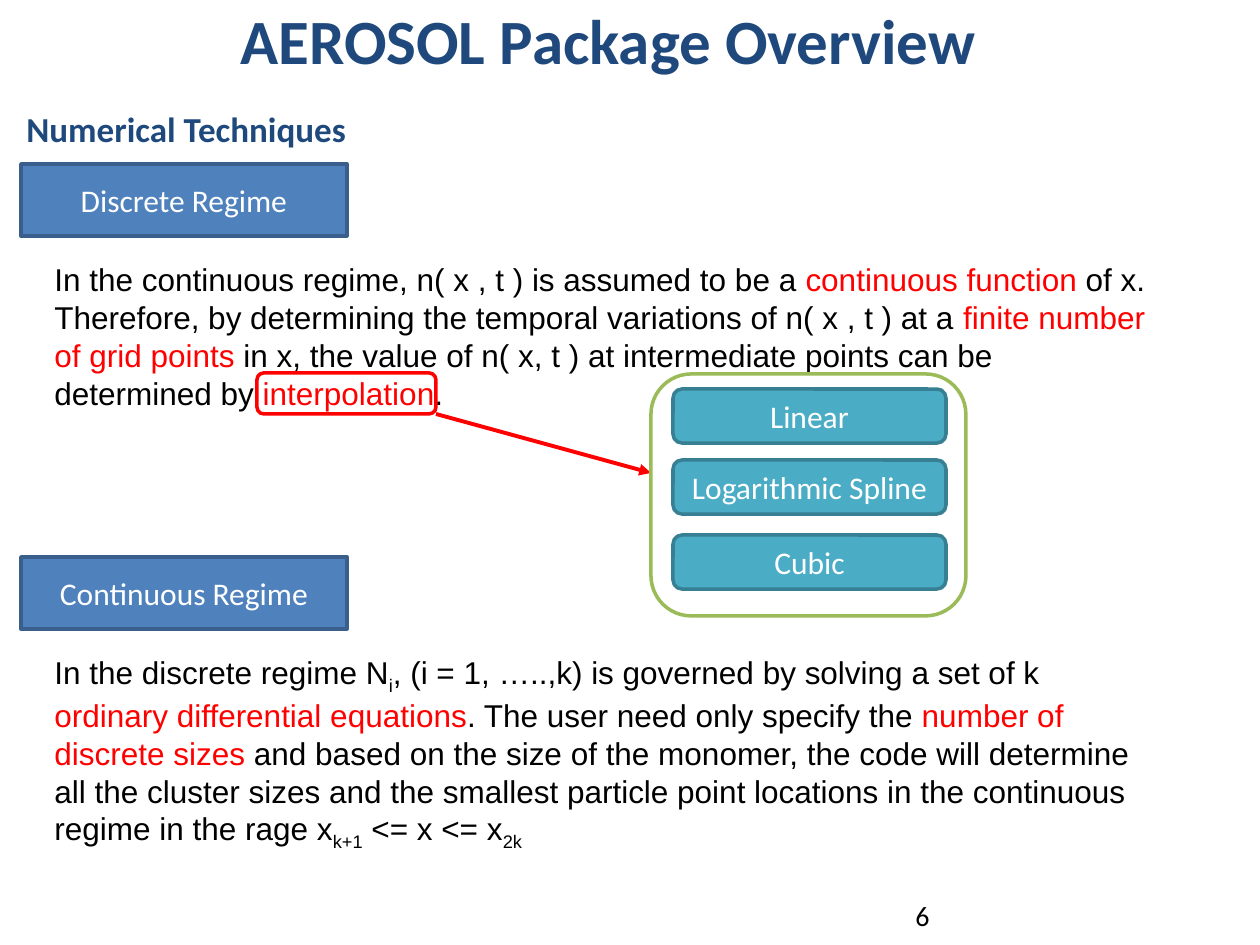
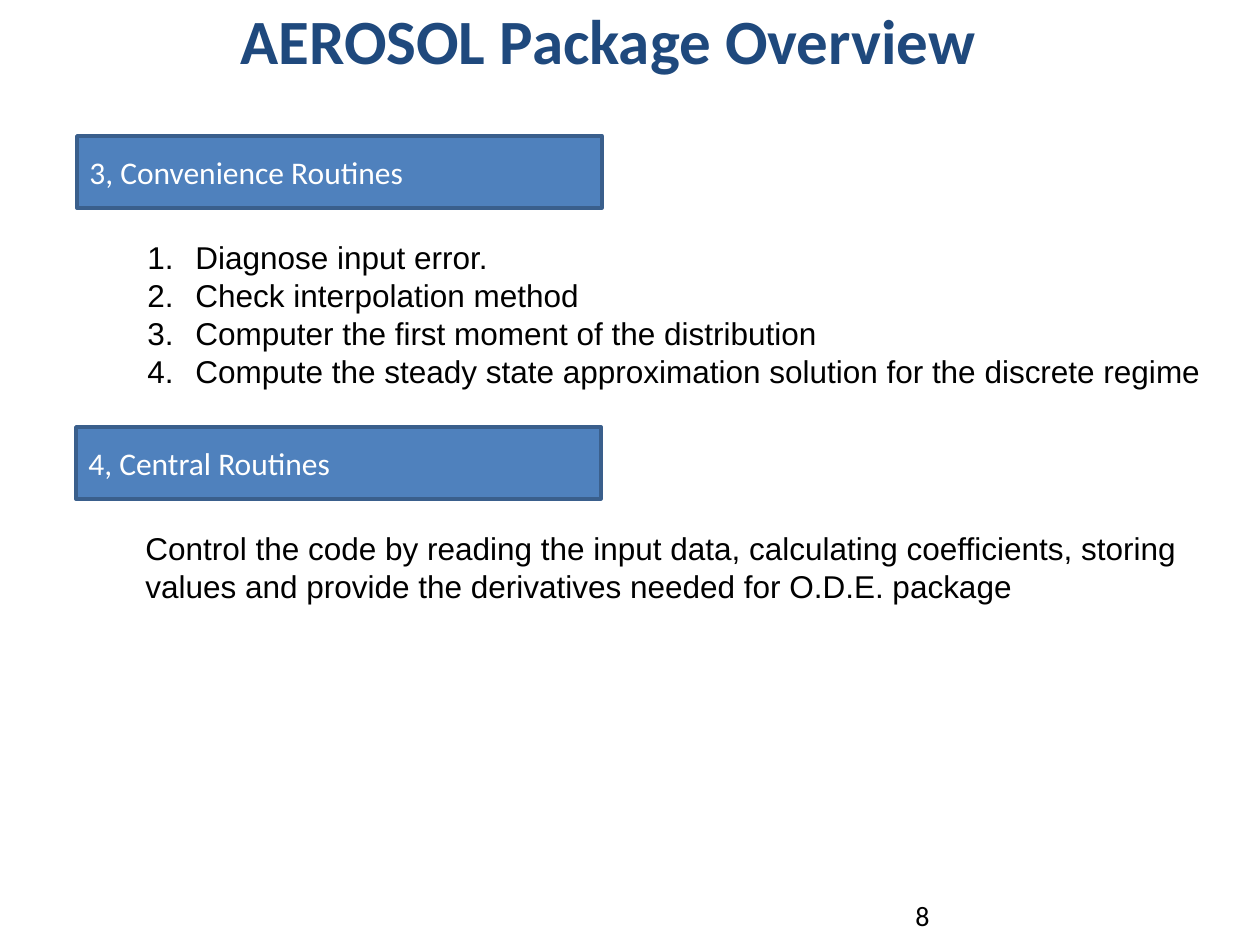
from pptx import Presentation
from pptx.dml.color import RGBColor
from pptx.enum.shapes import MSO_CONNECTOR, MSO_SHAPE
from pptx.enum.text import MSO_ANCHOR, MSO_AUTO_SIZE, PP_ALIGN
from pptx.oxml.ns import qn
from pptx.util import Pt
from lxml.etree import SubElement

PX = 914400 // 126
NAVY, BLUE, EDGE = "1F497D", "4F81BD", "3A5F8C"
TEAL, DARK, GREEN = "4BACC6", "377F92", "9BBB59"
RED, BLACK, WHITE = "FF0000", "000000", "FFFFFF"
HEAD, BODY = "Calibri", "Arial"


def emu(*vals):
    return [round(v * PX) for v in vals]


def tint(code):
    return RGBColor.from_string(code)


def add_run(para, text, size, font, color, bold=False, sub=False):
    run = para.add_run()
    run.text = text
    run.font.size, run.font.name, run.font.bold = Pt(size), font, bold
    run.font.color.rgb = tint(color)
    if sub:
        run.font._element.set("baseline", "-25000")


def add_text(slide, box, paras, size=18, font=BODY, bold=False, grow=False):
    """Each paragraph is a list of (text, color) or (text, color, sub) runs."""
    shape = slide.shapes.add_textbox(*emu(*box))
    frame = shape.text_frame
    frame.word_wrap = True
    frame.auto_size = MSO_AUTO_SIZE.SHAPE_TO_FIT_TEXT if grow else MSO_AUTO_SIZE.NONE
    for i, runs in enumerate(paras):
        para = frame.add_paragraph() if i else frame.paragraphs[0]
        for text, color, *sub in runs:
            add_run(para, text, size, font, color, bold, bool(sub))
    return frame


def add_box(slide, kind, box, line, fill=None, text="", align=PP_ALIGN.CENTER):
    shape = slide.shapes.add_shape(kind, *emu(*box))
    shape.shadow.inherit = False
    shape.line.color.rgb = tint(line)
    shape.line.width = Pt(2)
    if fill:
        shape.fill.solid()
        shape.fill.fore_color.rgb = tint(fill)
    else:
        shape.fill.background()
    if text:
        frame = shape.text_frame
        frame.word_wrap = True
        frame.vertical_anchor = MSO_ANCHOR.MIDDLE
        frame.paragraphs[0].alignment = align
        add_run(frame.paragraphs[0], text, 18, HEAD, WHITE)


def add_arrow(slide, x1, y1, x2, y2):
    line = slide.shapes.add_connector(MSO_CONNECTOR.STRAIGHT, *emu(x1, y1, x2, y2))
    line.line.color.rgb = tint(RED)
    line.line.width = Pt(2.25)
    SubElement(line.line._get_or_add_ln(), qn("a:tailEnd"), type="triangle")
    SubElement(line._element.spPr, qn("a:effectLst"))


def number(frame):
    for para in frame.paragraphs:
        props = para._p.get_or_add_pPr()
        props.set("marL", str(48 * PX))
        props.set("indent", str(-48 * PX))
        SubElement(props, qn("a:buFont"), typeface="+mj-lt")
        SubElement(props, qn("a:buAutoNum"), type="arabicPeriod")


def new_slide(deck, page):
    """Blank slide with the shared title and page number."""
    slide = deck.slides.add_slide(deck.slide_layouts[6])
    add_text(slide, (228, -5, 1040, 98), [[("AEROSOL Package Overview", NAVY)]],
             36, HEAD, True)
    add_text(slide, (903, 892, 294, 50), [[(page, BLACK)]], 16, HEAD)
    return slide


def section(slide, bar, label, align, shift, height, paras):
    """Blue bar with body text placed below it by the given shift."""
    x, y = bar[:2]
    add_box(slide, MSO_SHAPE.RECTANGLE, bar, EDGE, BLUE, label, align)
    return add_text(slide, (x + shift[0], y + shift[1], 1124, height), paras, grow=True)


def methods(slide, box):
    """Green frame around the interpolation methods."""
    x, y, w, h = box
    for name, top in (("Linear", 15), ("Logarithmic Spline", 86), ("Cubic", 161)):
        add_box(slide, MSO_SHAPE.ROUNDED_RECTANGLE, (x + 22, y + top, 273, 54),
                DARK, TEAL, name)
    add_box(slide, MSO_SHAPE.ROUNDED_RECTANGLE, box, GREEN)


def techniques(deck):
    slide = new_slide(deck, "6")
    add_text(slide, (14, 101, 533, 57), [[("Numerical Techniques", NAVY)]], 20, HEAD, True)
    section(slide, (21, 164, 326, 72), "Discrete Regime", PP_ALIGN.CENTER, (21, 90), 165, [
        [("In the continuous regime, n( x , t ) is assumed to be a ", BLACK),
         ("continuous function", RED), (" of x.", BLACK)],
        [("Therefore, by determining the temporal variations of n( x , t ) at a ", BLACK),
         ("finite number of grid points", RED),
         (" in x, the value of n( x, t ) at intermediate points can be determined by ", BLACK),
         ("interpolation", RED), (". ", BLACK)]])
    section(slide, (21, 557, 326, 72), "Continuous Regime", PP_ALIGN.CENTER, (21, 90), 204, [
        [("In the discrete regime N", BLACK), ("i", BLACK, True),
         (", (i = 1, …..,k) is governed by solving a set of k ", BLACK),
         ("ordinary differential equations", RED),
         (". The user need only specify the ", BLACK),
         ("number of discrete sizes", RED),
         (" and based on the size of the monomer, the code will determine all the "
          "cluster sizes and the smallest particle point locations in the continuous "
          "regime in the rage x", BLACK),
         ("k+1", BLACK, True), (" <= x <= x", BLACK), ("2k", BLACK, True)]])
    # Highlighted word, pointing to its methods
    add_box(slide, MSO_SHAPE.ROUNDED_RECTANGLE, (257, 373, 179, 41), RED)
    add_arrow(slide, 436, 414, 651, 473)
    methods(slide, (651, 374, 315, 242))


def routines(deck):
    slide = new_slide(deck, "8")
    steps = ["Diagnose input error.  ", "Check interpolation method",
             "Computer the first moment of the distribution",
             "Compute the steady state approximation solution for the discrete regime"]
    frame = section(slide, (77, 136, 525, 72), "3, Convenience Routines", PP_ALIGN.LEFT,
                    (58, 96), 165, [[(step, BLACK)] for step in steps])
    number(frame)
    section(slide, (76, 427, 525, 72), "4, Central Routines", PP_ALIGN.LEFT, (57, 96), 89,
            [[("Control the code by reading the input data, calculating coefficients, "
               "storing values and provide the derivatives needed for O.D.E. package", BLACK)]])


deck = Presentation()
deck.slide_width, deck.slide_height = emu(1260, 945)
techniques(deck)
routines(deck)
deck.save("out.pptx")
